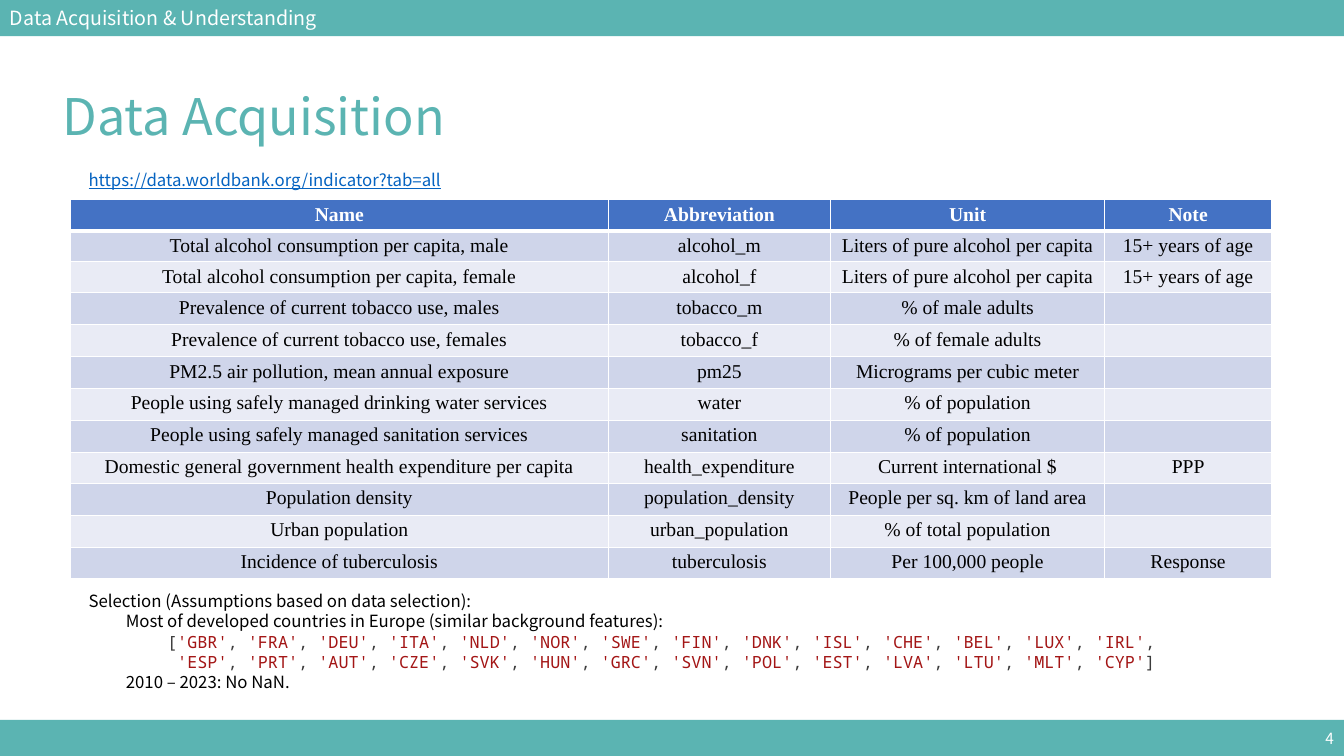
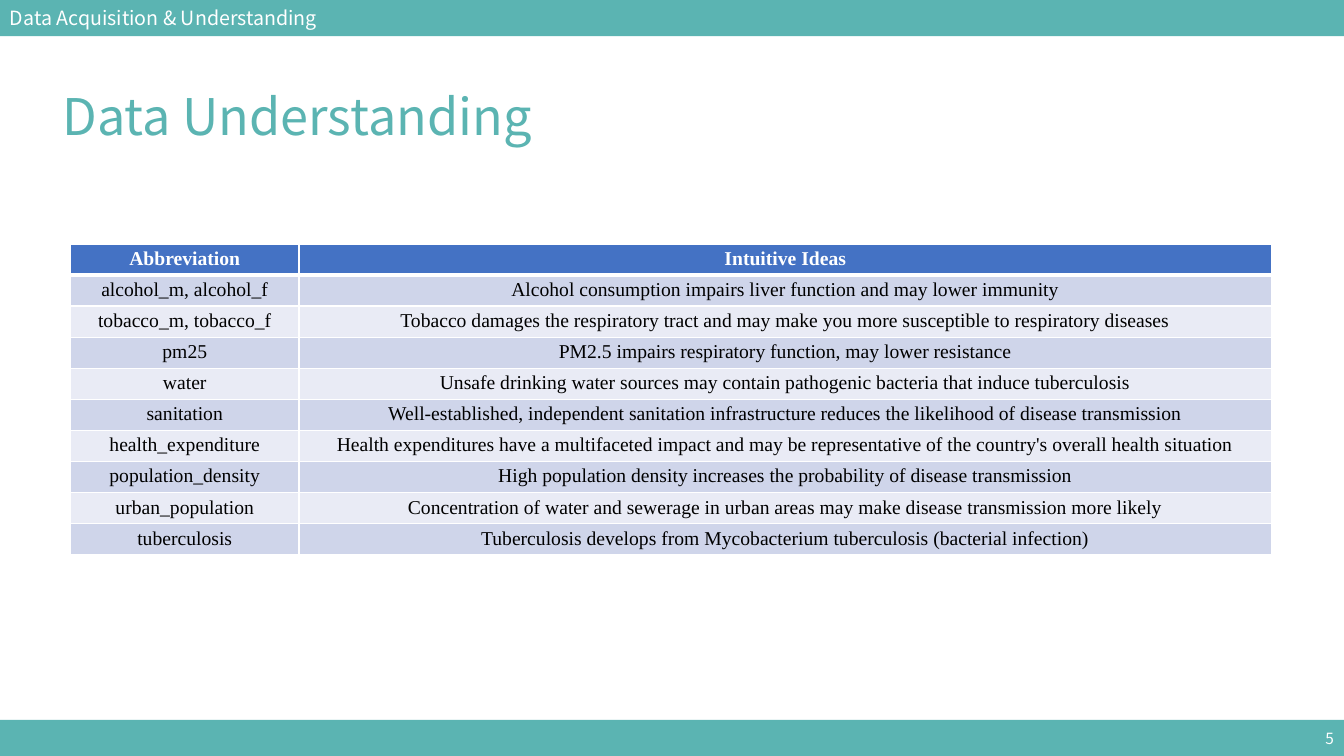
"""Builds the data acquisition and data understanding slides."""
from dataclasses import dataclass, field
from typing import Any

from lxml import etree
from pptx import Presentation
from pptx.dml.color import RGBColor
from pptx.enum.shapes import MSO_SHAPE
from pptx.enum.text import MSO_ANCHOR, MSO_AUTO_SIZE, PP_ALIGN
from pptx.oxml.ns import qn
from pptx.util import Emu, Inches, Pt

RECTANGLE = MSO_SHAPE.RECTANGLE
TOP, MIDDLE = MSO_ANCHOR.TOP, MSO_ANCHOR.MIDDLE
LEFT, CENTER, RIGHT = PP_ALIGN.LEFT, PP_ALIGN.CENTER, PP_ALIGN.RIGHT
FIXED_SIZE = MSO_AUTO_SIZE.NONE
TITLE_ONLY = 5
SLIDE_WIDTH, SLIDE_HEIGHT = Inches(13.33), Inches(7.5)
COLUMNS, ROWS = 160, 90
BAND_ROWS = 4.3
TABLE_ROW = 3.7
FIRST_NUMBER = 4
SECTION = "Data Acquisition & Understanding"


@dataclass(frozen=True)
class Theme:
    """Colours, fonts and type sizes of the deck."""
    teal: str = "5BB4B2"
    white: str = "FFFFFF"
    black: str = "000000"
    link: str = "0563C1"
    code: str = "3B3B3B"
    string: str = "A31515"
    header: str = "4472C4"
    stripes: tuple[str, str] = ("CFD5EA", "E9EBF5")
    sans: str = "Noto Sans CJK SC"
    mono: str = "Noto Sans Mono"
    serif: str = "Times New Roman"
    title_size: int = 36
    section_size: int = 14
    number_size: int = 11
    body_size: int = 12
    table_size: int = 14
    line_factor: float = 1.21


THEME = Theme()


@dataclass(frozen=True)
class Area:
    """A rectangle in grid columns and rows."""
    left: float
    top: float
    width: float
    height: float

    def emu(self) -> tuple[Emu, Emu, Emu, Emu]:
        """Return left, top, width and height as lengths."""
        column, row = SLIDE_WIDTH / COLUMNS, SLIDE_HEIGHT / ROWS
        return (Emu(round(self.left * column)), Emu(round(self.top * row)),
                Emu(round(self.width * column)), Emu(round(self.height * row)))


@dataclass(frozen=True)
class Span:
    """A piece of text with one format."""
    text: str
    size: int = THEME.body_size
    color: str = THEME.black
    font: str = THEME.sans
    bold: bool = False
    underline: bool = False


@dataclass(frozen=True)
class Para:
    """A line of spans with an indent in inches."""
    spans: list[Span]
    indent: float = 0
    align: Any = LEFT


@dataclass(frozen=True)
class Grid:
    """A table with its top row, column widths and cell texts."""
    top: float
    widths: tuple[float, ...]
    rows: list[tuple[str, ...]]


@dataclass(frozen=True)
class Page:
    """The content of one slide."""
    title: str
    grid: Grid
    notes: list[tuple[Area, list[Para]]] = field(default_factory=list)


TITLE_AREA = Area(7.45, 10.1, 145, 7.3)
LINK_AREA = Area(9.36, 19.56, 141, 3.6)
SELECTION_AREA = Area(9.36, 69.72, 141, 13.3)
TABLE_LEFT = 8.4


def assign(target: Any, values: dict[str, Any]) -> None:
    """Set each named attribute of the target."""
    for name, value in values.items():
        setattr(target, name, value)


def write_para(para: Any, content: Para, spaced: bool = True) -> None:
    """Fill one paragraph with formatted spans."""
    para.alignment = content.align
    if spaced:
        para.line_spacing = Pt(round(content.spans[0].size * THEME.line_factor, 1))
        para.space_before = Pt(0)
    if content.indent:
        properties = para._p.get_or_add_pPr()
        properties.set("marL", str(Inches(content.indent)))
        properties.set("indent", "0")
    for span in content.spans:
        run = para.add_run()
        run.text = span.text
        assign(run.font, {"name": span.font, "size": Pt(span.size),
                          "bold": span.bold, "underline": span.underline})
        run.font.color.rgb = RGBColor.from_string(span.color)


def write_frame(frame: Any, paras: list[Para], **values: Any) -> None:
    """Fill a text frame with paragraphs."""
    assign(frame, {"word_wrap": True, "auto_size": FIXED_SIZE, **values})
    for index, content in enumerate(paras):
        para = frame.add_paragraph() if index else frame.paragraphs[0]
        write_para(para, content)


def add_title(slide: Any, text: str) -> None:
    """Place and format the title placeholder."""
    box = slide.shapes.title
    assign(box, dict(zip(("left", "top", "width", "height"), TITLE_AREA.emu())))
    margins = {f"margin_{side}": 0 for side in ("left", "top", "right", "bottom")}
    span = Span(text, THEME.title_size, THEME.teal)
    write_frame(box.text_frame, [Para([span])], vertical_anchor=TOP, **margins)


def add_band(slide: Any, top: float, text: str, size: int, align: Any) -> None:
    """Draw a full-width band with one line of text."""
    band = slide.shapes.add_shape(RECTANGLE, *Area(0, top, COLUMNS, BAND_ROWS).emu())
    band.shadow.inherit = False
    band.fill.solid()
    band.fill.fore_color.rgb = RGBColor.from_string(THEME.teal)
    band.line.fill.background()
    para = Para([Span(text, size, THEME.white)], align=align)
    write_frame(band.text_frame, [para], vertical_anchor=MIDDLE)


def add_borders(cell: Any, bottom: int) -> None:
    """Give a cell white borders, with its own bottom width in points."""
    properties = cell._tc.get_or_add_tcPr()
    for side, width in {"L": 1, "R": 1, "T": 1, "B": bottom}.items():
        line = etree.SubElement(properties, qn(f"a:ln{side}"), w=str(Pt(width)))
        fill = etree.SubElement(line, qn("a:solidFill"))
        etree.SubElement(fill, qn("a:srgbClr"), val=THEME.white)


def add_cell(cell: Any, text: str, row: int) -> None:
    """Format one table cell as header or striped body."""
    header = row == 0
    assign(cell, {"margin_left": Inches(0.08), "margin_right": Inches(0.08),
                  "margin_top": Inches(0.04), "margin_bottom": Inches(0.04)})
    add_borders(cell, 3 if header else 1)
    cell.fill.solid()
    color = THEME.header if header else THEME.stripes[(row - 1) % 2]
    cell.fill.fore_color.rgb = RGBColor.from_string(color)
    para = cell.text_frame.paragraphs[0]
    if text:
        span = Span(text, THEME.table_size, THEME.white if header else THEME.black,
                    THEME.serif, bold=header)
        write_para(para, Para([span], align=CENTER), spaced=False)
    else:
        etree.SubElement(para._p, qn("a:endParaRPr"), sz=str(THEME.table_size * 100))


def add_grid(slide: Any, grid: Grid) -> None:
    """Draw a table from its rows of text."""
    area = Area(TABLE_LEFT, grid.top, sum(grid.widths), TABLE_ROW * len(grid.rows))
    table = slide.shapes.add_table(len(grid.rows), len(grid.widths), *area.emu()).table
    for column, width in zip(table.columns, grid.widths):
        column.width = Area(0, 0, width, 0).emu()[2]
    for row, texts in enumerate(grid.rows):
        table.rows[row].height = Area(0, 0, 0, TABLE_ROW).emu()[3]
        for column, text in enumerate(texts):
            add_cell(table.cell(row, column), text, row)


def code_line(codes: str, start: str, end: str, indent: float) -> Para:
    """Colour a line of quoted country codes."""
    spans = [Span(start, color=THEME.code, font=THEME.mono)] if start else []
    names = codes.split()
    for index, name in enumerate(names, 1):
        mark = ", " if index < len(names) else end
        spans += [Span(f"'{name}'", color=THEME.string, font=THEME.mono),
                  Span(mark, color=THEME.code, font=THEME.mono)]
    return Para(spans, indent)


PAGES = [
    Page(
        "Data Acquisition",
        Grid(23.76, (64, 26.5, 32.6, 19.9), [
            ("Name", "Abbreviation", "Unit", "Note"),
            ("Total alcohol consumption per capita, male", "alcohol_m",
             "Liters of pure alcohol per capita", "15+ years of age"),
            ("Total alcohol consumption per capita, female", "alcohol_f",
             "Liters of pure alcohol per capita", "15+ years of age"),
            ("Prevalence of current tobacco use, males", "tobacco_m",
             "% of male adults", ""),
            ("Prevalence of current tobacco use, females", "tobacco_f",
             "% of female adults", ""),
            ("PM2.5 air pollution, mean annual exposure", "pm25",
             "Micrograms per cubic meter", ""),
            ("People using safely managed drinking water services", "water",
             "% of population", ""),
            ("People using safely managed sanitation services", "sanitation",
             "% of population", ""),
            ("Domestic general government health expenditure per capita",
             "health_expenditure", "Current international $", "PPP"),
            ("Population density", "population_density",
             "People per sq. km of land area", ""),
            ("Urban population", "urban_population", "% of total population", ""),
            ("Incidence of tuberculosis", "tuberculosis", "Per 100,000 people",
             "Response"),
        ]),
        [
            (LINK_AREA, [Para([Span("https://data.worldbank.org/indicator?tab=all",
                                    color=THEME.link, underline=True)])]),
            (SELECTION_AREA, [
                Para([Span("Selection (Assumptions based on data selection):")]),
                Para([Span("Most of developed countries in Europe "
                           "(similar background features):")], 0.37),
                code_line("GBR FRA DEU ITA NLD NOR SWE FIN DNK ISL CHE BEL LUX IRL",
                          "[", ",", 0.78),
                code_line("ESP PRT AUT CZE SVK HUN GRC SVN POL EST LVA LTU MLT CYP",
                          "", "]", 0.88),
                Para([Span("2010 – 2023: No NaN.")], 0.37),
            ]),
        ],
    ),
    Page(
        "Data Understanding",
        Grid(29.04, (27.2, 115.8), [
            ("Abbreviation", "Intuitive Ideas"),
            ("alcohol_m, alcohol_f",
             "Alcohol consumption impairs liver function and may lower immunity"),
            ("tobacco_m, tobacco_f", "Tobacco damages the respiratory tract and may "
             "make you more susceptible to respiratory diseases"),
            ("pm25", "PM2.5 impairs respiratory function, may lower resistance"),
            ("water", "Unsafe drinking water sources may contain pathogenic bacteria "
             "that induce tuberculosis"),
            ("sanitation", "Well-established, independent sanitation infrastructure "
             "reduces the likelihood of disease transmission"),
            ("health_expenditure", "Health expenditures have a multifaceted impact and "
             "may be representative of the country's overall health situation"),
            ("population_density",
             "High population density increases the probability of disease transmission"),
            ("urban_population", "Concentration of water and sewerage in urban areas "
             "may make disease transmission more likely"),
            ("tuberculosis",
             "Tuberculosis develops from Mycobacterium tuberculosis (bacterial infection)"),
        ]),
    ),
]


def main() -> None:
    """Build and save the deck."""
    deck = Presentation()
    assign(deck, {"slide_width": SLIDE_WIDTH, "slide_height": SLIDE_HEIGHT})
    for number, page in enumerate(PAGES, FIRST_NUMBER):
        slide = deck.slides.add_slide(deck.slide_layouts[TITLE_ONLY])
        add_title(slide, page.title)
        add_band(slide, 0, SECTION, THEME.section_size, LEFT)
        add_band(slide, ROWS - BAND_ROWS, str(number), THEME.number_size, RIGHT)
        for area, paras in page.notes:
            write_frame(slide.shapes.add_textbox(*area.emu()).text_frame, paras)
        add_grid(slide, page.grid)
    deck.save("out.pptx")


if __name__ == "__main__":
    main()
